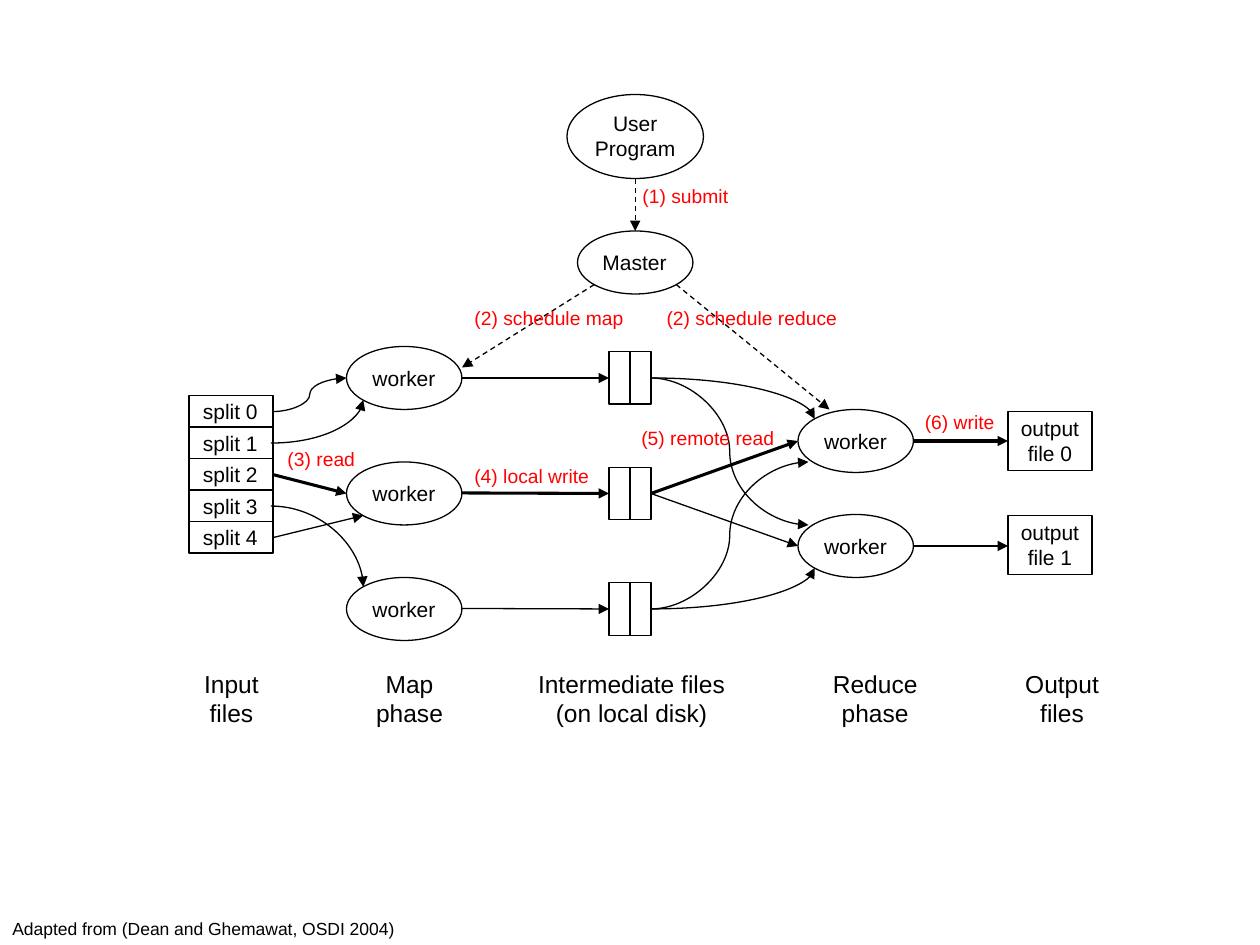
from pptx import Presentation
from pptx.dml.color import RGBColor
from pptx.enum.dml import MSO_LINE
from pptx.enum.shapes import MSO_CONNECTOR, MSO_SHAPE
from pptx.enum.text import MSO_ANCHOR, MSO_AUTO_SIZE, PP_ALIGN
from pptx.oxml.ns import qn
from pptx.util import Inches, Pt
from lxml.etree import SubElement

BLACK = RGBColor(0, 0, 0)
RED = RGBColor(255, 0, 0)
OVAL, RECT = MSO_SHAPE.OVAL, MSO_SHAPE.RECTANGLE
LEFT, MID = PP_ALIGN.LEFT, PP_ALIGN.CENTER

deck = Presentation()
deck.slide_width, deck.slide_height = Inches(10), Inches(7.5)
slide = deck.slides.add_slide(deck.slide_layouts[6])
shapes = slide.shapes
CELL = deck.slide_width / 120


def grid(*spots):
    return [round(spot * CELL) for spot in spots]


def write(text, left, top, wide, high, size, color=BLACK, align=LEFT, wrap=False):
    frame = shapes.add_textbox(*grid(left, top, wide, high)).text_frame
    frame.text = text
    form = {"word_wrap": wrap, "auto_size": MSO_AUTO_SIZE.SHAPE_TO_FIT_TEXT,
            "vertical_anchor": MSO_ANCHOR.TOP}
    for key, value in form.items():
        setattr(frame, key, value)
    for para in frame.paragraphs:
        para.alignment = align
        for run in para.runs:
            for key, value in {"name": "Arial", "size": Pt(size)}.items():
                setattr(run.font, key, value)
            run.font.color.rgb = color


nodes = [(RECT, 18, 37.68 + 3 * row, 8, 3, f"split {row}", 7.7) for row in range(5)]
nodes += [(OVAL, 33, top, 11, 6, "worker", 8.4) for top in (33, 44, 55)]
nodes += [(OVAL, 76, top, 11, 6, "worker", 8.4) for top in (39, 49)]
nodes += [(OVAL, 55, 22, 11, 6, "Master", 8.6),
          (OVAL, 54, 9, 13, 8, "User\vProgram", 10.1)]
nodes += [(RECT, 96, 39.2 + 9.9 * row, 8, 5.6, f"output\nfile {row}", 8) for row in range(2)]
nodes += [(RECT, left, top, 2, 5, "", 0) for top in (33.5, 44.5, 55.5) for left in (58, 60)]

for kind, left, top, wide, high, text, span in nodes:
    node = shapes.add_shape(kind, *grid(left, top, wide, high))
    node.shadow.inherit = False
    node.fill.background()
    node.line.color.rgb = BLACK
    node.line.width = Pt(0.75)
    if text:
        tall = 6.1 if len(text.split()) > 1 and high > 3 else 3.6
        write(text, left + (wide - span) / 2, top + (high - tall) / 2, span, tall, 12,
              align=LEFT if tall < 6 else MID)

THIN, BOLD = 0.75, 1.75
links = [
    ("curvedConnector3", 26, 39.2, 33, 36, THIN),
    ("curvedConnector2", 25.8, 42.2, 34.6, 38.1, THIN),
    ("curvedConnector2", 25.8, 48.2, 34.6, 55.9, THIN),
    ("line", 26, 45.2, 33, 47, BOLD),
    ("line", 26, 51.2, 34.6, 49.1, THIN),
    ("line", 44, 36, 58, 36, THIN),
    ("line", 44, 46.95, 58, 47, BOLD),
    ("line", 44, 57.95, 58, 58, THIN),
    ("line", 87, 42, 96, 42, BOLD),
    ("line", 87, 52, 96, 52, THIN),
    ("line", 62, 47, 76, 42, BOLD),
    ("line", 62, 47, 76, 52, THIN),
    ("curvedConnector2", 62, 36, 77.6, 39.9, THIN),
    ("curvedConnector3", 62, 36, 77, 50, THIN),
    ("curvedConnector3", 62, 58, 77, 44, THIN),
    ("curvedConnector2", 62, 58, 77.6, 54.1, THIN),
    ("dash", 60.5, 17, 60.5, 22, THIN),
    ("dash", 56.6, 27.1, 44, 35, THIN),
    ("dash", 64.4, 27.1, 79, 39, THIN),
]
for kind, *ends, width in links:
    bent = kind.startswith("curved")
    link = shapes.add_connector(MSO_CONNECTOR.CURVE if bent else MSO_CONNECTOR.STRAIGHT,
                                *grid(*ends))
    link.line.color.rgb = BLACK
    link.line.width = Pt(width)
    if kind == "dash":
        link.line.dash_style = MSO_LINE.DASH
    props = link._element.spPr
    if bent:
        props.find(qn("a:prstGeom")).set("prst", kind)
    SubElement(props.find(qn("a:ln")), qn("a:tailEnd"), type="triangle")
    SubElement(props, qn("a:effectLst"))

steps = [
    ("(1) submit", 60, 17, 10.7),
    ("(2) schedule map", 44, 28.6, 16.7),
    ("(2) schedule reduce", 62.3, 28.6, 18.7),
    ("(3) read", 26.2, 42, 8.9),
    ("(4) local write", 44, 43.6, 13.4),
    ("(5) remote read", 59.9, 40, 15.1),
    ("(6) write", 86.9, 38.5, 9.1),
]
for text, left, top, wide in steps:
    write(text, left, top, wide, 3.5, 11, RED)

phases = [
    ("Input\nfiles", 18.2, 7.7),
    ("Map\nphase", 34.6, 8.8),
    ("Intermediate files\n(on local disk)", 50, 20.3),
    ("Reduce\nphase", 77.9, 10.9),
    ("Output\nfiles", 96.4, 9.5),
]
for text, left, wide in phases:
    write(text, left, 63.1, wide, 6.8, 14, align=MID)

write("Adapted from (Dean and Ghemawat, OSDI 2004)", 0, 86.8, 41, 3.2, 10, wrap=True)

deck.save("out.pptx")
